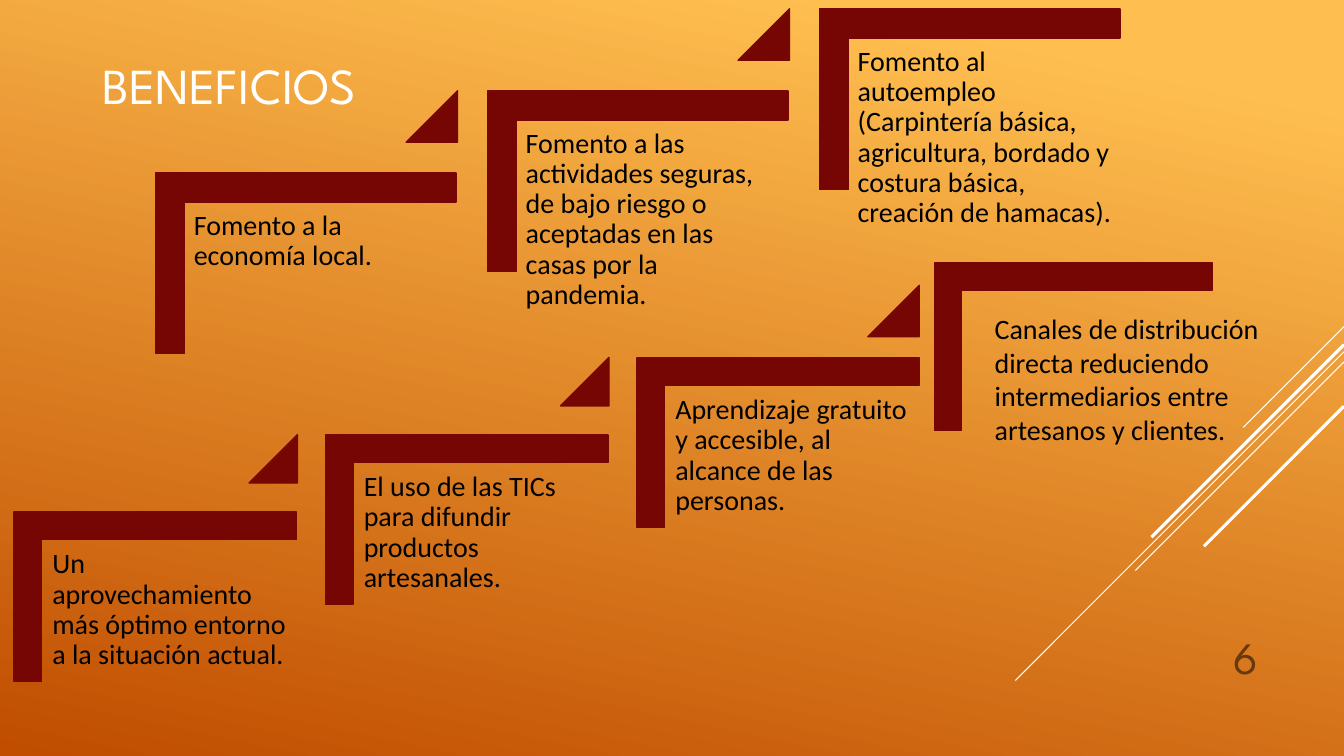
"""Build the "Beneficios" slide: two rising staircases of benefits on an orange gradient."""
from lxml import etree
from pptx import Presentation
from pptx.dml.color import RGBColor
from pptx.enum.shapes import MSO_CONNECTOR, MSO_SHAPE
from pptx.enum.text import MSO_ANCHOR, PP_ALIGN
from pptx.oxml.ns import qn
from pptx.util import Pt

CORNER, TRIANGLE = MSO_SHAPE.CORNER, MSO_SHAPE.ISOSCELES_TRIANGLE
STRAIGHT = MSO_CONNECTOR.STRAIGHT
TOP, MIDDLE, BOTTOM = MSO_ANCHOR.TOP, MSO_ANCHOR.MIDDLE, MSO_ANCHOR.BOTTOM
LEFT, RIGHT = PP_ALIGN.LEFT, PP_ALIGN.RIGHT

THEME = {
    "gradient": [(0.1, "FFBF50"), (1.0, "C04D00")],
    "gradient_angle": 258,
    "step": "760603",
    "ray": "FFFFFF",
    "title": {"name": "League Spartan", "size": 36, "color": "FFFFFF"},
    "body": {"name": "Calibri", "size": 20, "color": "000000"},
    "number": {"name": "League Spartan", "size": 32, "color": "68380F"},
}
SLIDE_SIZE = (960, 540)
THICKNESS = 0.161

TITLE = ("BENEFICIOS", (66.2, 28.8, 226.8, 62.6))
PAGE_NUMBER = ("6", (815.8, 439.2, 90, 52.6))

STAIRCASES = [
    {
        "start": (111.2, 123.5), "rise": (237.1, -58.5), "corner": (214.6, 128.9),
        "text_offset": (21.2, 21.2), "text_size": (193.7, 169.9), "inset": 6,
        "triangle_offset": (178.9, -58.7), "triangle": 36.7,
        "benefits": [
            "Fomento a la economía local.",
            "Fomento a las actividades seguras, de bajo riesgo o aceptadas en las casas "
            "por la pandemia.",
            "Fomento al autoempleo (Carpintería básica, agricultura, bordado y costura "
            "básica, creación de hamacas).",
        ],
    },
    {
        "start": (10.1, 365.8), "rise": (222.5, -55.1), "corner": (201.6, 121),
        "text_offset": (20.2, 19.6), "text_size": (182.2, 159.1), "inset": 7.2,
        "triangle_offset": (167.8, -55.4), "triangle": 34.6,
        "benefits": [
            "Un aprovechamiento más óptimo entorno a la situación actual.",
            "El uso de las TICs para difundir productos artesanales.",
            "Aprendizaje gratuito y accesible, al alcance de las personas.",
        ],
    },
]
LAST_STEP = {
    "corner": (667.4, 187.9, 198.7, 119.5),
    "triangle": (619.9, 203.8, 36.7),
    "text": (703.4, 218.9, 213.1, 104.4),
    "benefit": "Canales de distribución directa reduciendo intermediarios entre artesanos "
               "y clientes.",
}
RAYS = [(233.3, 72, 0.75), (251.3, 234.7, 0.75), (258.5, 149, 0.75),
        (246.2, 137.5, 2.25), (290.2, 100, 2.25)]


def color(value):
    return RGBColor.from_string(value)


def points(values):
    return [Pt(value) for value in values]


def apply(target, formats):
    for name, value in formats.items():
        setattr(target, name, value)


def add_text(slide, text, box, style, inset=(7.2, 3.6), anchor=TOP, align=LEFT, spacing=1.0):
    frame = slide.shapes.add_textbox(*points(box)).text_frame
    across, down = points(inset)
    apply(frame, {"word_wrap": True, "vertical_anchor": anchor, "margin_left": across,
                  "margin_right": across, "margin_top": down, "margin_bottom": down})
    paragraph = frame.paragraphs[0]
    apply(paragraph, {"alignment": align, "line_spacing": spacing})
    run = paragraph.add_run()
    run.text = text
    apply(run.font, {"name": style["name"], "size": Pt(style["size"])})
    run.font.color.rgb = color(style["color"])


def add_step_shape(slide, kind, box, adjustments):
    shape = slide.shapes.add_shape(kind, *points(box))
    for index, value in enumerate(adjustments):
        shape.adjustments[index] = value
    shape.shadow.inherit = False
    shape.fill.solid()
    shape.fill.fore_color.rgb = color(THEME["step"])
    shape.line.color.rgb = color(THEME["step"])
    shape.line.width = Pt(1)
    return shape


def add_corner(slide, left, top, width, height):
    shift = (width - height) / 2
    corner = add_step_shape(slide, CORNER, (left + shift, top - shift, height, width),
                            [THICKNESS, THICKNESS])
    corner.rotation = 90


def add_triangle(slide, left, top, side):
    add_step_shape(slide, TRIANGLE, (left, top, side, side), [1])


def add_ray(slide, start, reach, weight):
    right = SLIDE_SIZE[0]
    ray = slide.shapes.add_connector(
        STRAIGHT, *points((right, start, right - reach, start + reach)))
    ray.line.color.rgb = color(THEME["ray"])
    ray.line.width = Pt(weight)
    etree.SubElement(ray._element.spPr, qn("a:effectLst"))


def add_staircase(slide, stairs):
    benefits = stairs["benefits"]
    for index, benefit in enumerate(benefits):
        left, top = (start + index * rise
                     for start, rise in zip(stairs["start"], stairs["rise"]))
        add_corner(slide, left, top, *stairs["corner"])
        across, down = stairs["text_offset"]
        add_text(slide, benefit, (left + across, top + down, *stairs["text_size"]),
                 THEME["body"], inset=(stairs["inset"], stairs["inset"]), spacing=0.9)
        if index < len(benefits) - 1:
            across, down = stairs["triangle_offset"]
            add_triangle(slide, left + across, top + down, stairs["triangle"])


def paint_background(slide):
    fill = slide.background.fill
    fill.gradient()
    fill.gradient_angle = THEME["gradient_angle"]
    for stop, (position, value) in zip(fill.gradient_stops, THEME["gradient"]):
        stop.position = position
        stop.color.rgb = color(value)


def main():
    presentation = Presentation()
    presentation.slide_width, presentation.slide_height = points(SLIDE_SIZE)
    slide = presentation.slides.add_slide(presentation.slide_layouts[6])
    paint_background(slide)
    for ray in RAYS:
        add_ray(slide, *ray)
    add_text(slide, *TITLE, THEME["title"], anchor=MIDDLE)
    for stairs in STAIRCASES:
        add_staircase(slide, stairs)
    add_corner(slide, *LAST_STEP["corner"])
    add_triangle(slide, *LAST_STEP["triangle"])
    add_text(slide, LAST_STEP["benefit"], LAST_STEP["text"], THEME["body"])
    add_text(slide, *PAGE_NUMBER, THEME["number"], anchor=BOTTOM, align=RIGHT)
    presentation.save("out.pptx")


if __name__ == "__main__":
    main()
